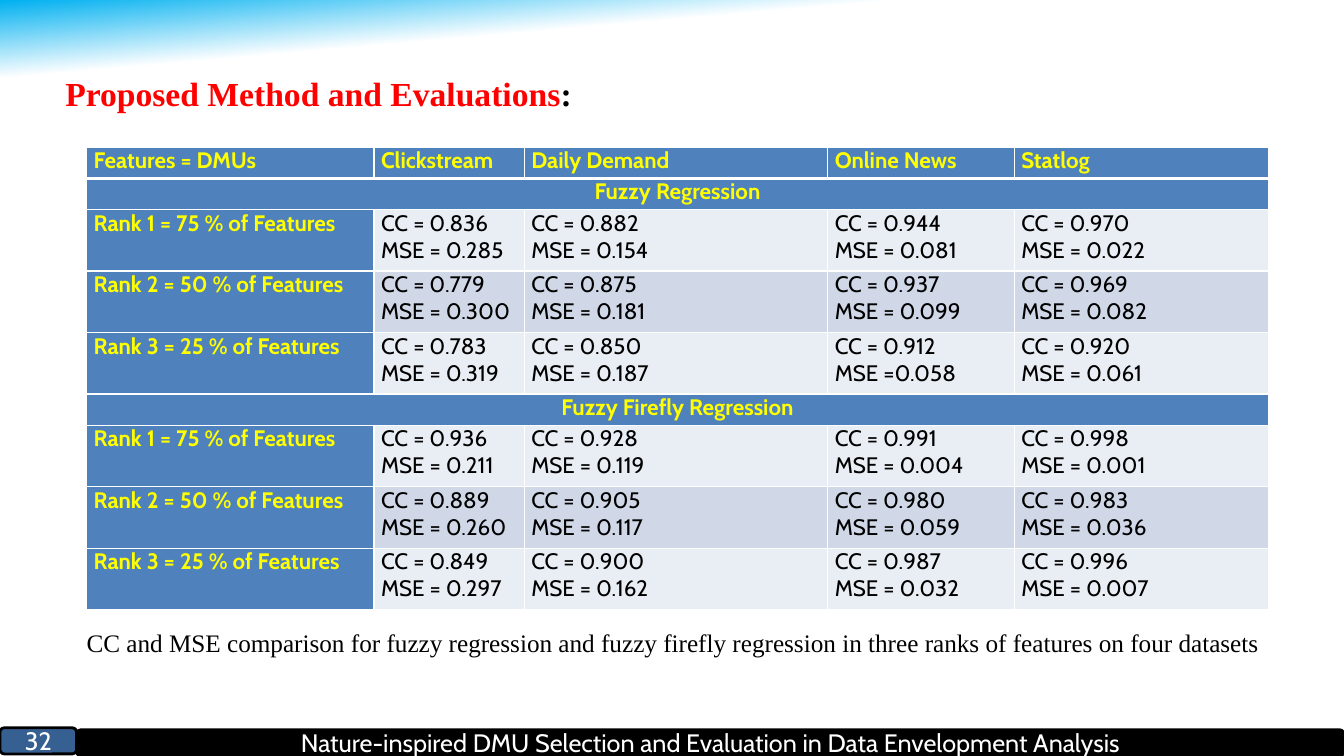
"""Build the slide comparing fuzzy regression with fuzzy firefly regression."""
from copy import deepcopy
from dataclasses import dataclass

from lxml import etree
from pptx import Presentation
from pptx import util as u
from pptx.dml.color import RGBColor
from pptx.enum import shapes, text
from pptx.oxml.ns import qn

COLORS = {
    "sky": "00B0F0", "white": "FFFFFF", "black": "000000", "red": "FF0000",
    "yellow": "FFFF00", "blue": "4F81BD", "navy": "376092",
    "light": "E9EDF4", "dark": "D0D8E8",
}
SERIF, SANS = "Times New Roman", "Cabin"
ALIGN = text.PP_ALIGN


@dataclass
class Run:
    words: str
    size: int
    font: str
    color: str
    bold: bool = False


@dataclass
class Box:
    left: float
    top: float
    width: float
    height: float

    def lengths(self) -> list[int]:
        return [u.Inches(v) for v in (self.left, self.top, self.width, self.height)]


@dataclass
class Rank:
    label: str
    scores: list[tuple[str, str]]


@dataclass
class Method:
    name: str
    ranks: list[Rank]


RANK_LABELS = [f"Rank {n} = {share} % of Features" for n, share in ((1, 75), (2, 50), (3, 25))]
DATASETS = ["Clickstream", "Daily Demand", "Online News", "Statlog"]
COLUMN_WIDTHS = [2.85, 1.49, 3.01, 1.85, 2.52]
BAND_HEIGHT, RANK_HEIGHT = 0.31, 0.61


def ranks(*score_rows: list[tuple[str, str]]) -> list[Rank]:
    return [Rank(label, scores) for label, scores in zip(RANK_LABELS, score_rows)]


METHODS = [
    Method("Fuzzy Regression", ranks(
        [("0.836", " 0.285"), ("0.882", " 0.154"), ("0.944", " 0.081"), ("0.970", " 0.022")],
        [("0.779", " 0.300"), ("0.875", " 0.181"), ("0.937", " 0.099"), ("0.969", " 0.082")],
        [("0.783", " 0.319"), ("0.850", " 0.187"), ("0.912", "0.058"), ("0.920", " 0.061")],
    )),
    Method("Fuzzy Firefly Regression", ranks(
        [("0.936", " 0.211"), ("0.928", " 0.119"), ("0.991", " 0.004"), ("0.998", " 0.001")],
        [("0.889", " 0.260"), ("0.905", " 0.117"), ("0.980", " 0.059"), ("0.983", " 0.036")],
        [("0.849", " 0.297"), ("0.900", " 0.162"), ("0.987", " 0.032"), ("0.996", " 0.007")],
    )),
]


def rgb(name: str) -> RGBColor:
    return RGBColor.from_string(COLORS[name])


def write(frame, paragraphs: list[list[Run]], align=None) -> None:
    for index, runs in enumerate(paragraphs):
        paragraph = frame.paragraphs[0] if index == 0 else frame.add_paragraph()
        paragraph.alignment = align
        for item in runs:
            run = paragraph.add_run()
            run.text = item.words
            run.font.size = u.Pt(item.size)
            run.font.name = item.font
            run.font.bold = item.bold
            run.font.color.rgb = rgb(item.color)


def add_line_of_text(slide, box: Box, runs: list[Run]) -> None:
    frame = slide.shapes.add_textbox(*box.lengths()).text_frame
    frame.word_wrap = True
    frame.auto_size = text.MSO_AUTO_SIZE.SHAPE_TO_FIT_TEXT
    write(frame, [runs])


def add_footer_bar(slide, box: Box, fill: str, words: str) -> None:
    bar = slide.shapes.add_shape(shapes.MSO_SHAPE.ROUNDED_RECTANGLE, *box.lengths())
    bar.shadow.inherit = False
    bar.fill.solid()
    bar.fill.fore_color.rgb = rgb(fill)
    bar.line.color.rgb = rgb("black")
    bar.line.width = u.Pt(2)
    bar.text_frame.vertical_anchor = text.MSO_ANCHOR.MIDDLE
    write(bar.text_frame, [[Run(words, 18, SANS, "white")]], ALIGN.CENTER)


def style_cell(cell, fill: str, bottom: int = 1) -> None:
    cell.margin_left = cell.margin_right = u.Inches(0.07)
    cell.margin_top = cell.margin_bottom = 0
    properties = cell._tc.get_or_add_tcPr()
    for side, width in (("L", 1), ("R", 1), ("T", 1), ("B", bottom)):
        border = etree.SubElement(properties, qn(f"a:ln{side}"), w=str(u.Pt(width)))
        solid = etree.SubElement(border, qn("a:solidFill"))
        etree.SubElement(solid, qn("a:srgbClr"), val=COLORS["white"])
    cell.fill.solid()
    cell.fill.fore_color.rgb = rgb(fill)


def write_heading(cell, words: str, align=ALIGN.JUSTIFY, bottom: int = 1) -> None:
    style_cell(cell, "blue", bottom)
    write(cell.text_frame, [[Run(words, 16, SANS, "yellow", True)]], align)


def write_scores(cell, scores: tuple[str, str], fill: str) -> None:
    style_cell(cell, fill)
    correlation, error = scores
    lines = [f"CC = {correlation}", f"MSE ={error}"]
    write(cell.text_frame, [[Run(line, 16, SANS, "black")] for line in lines], ALIGN.JUSTIFY)


def add_comparison(slide, box: Box) -> None:
    heights = [BAND_HEIGHT]
    for method in METHODS:
        heights += [BAND_HEIGHT] + [RANK_HEIGHT] * len(method.ranks)
    table = slide.shapes.add_table(len(heights), len(COLUMN_WIDTHS), *box.lengths()).table
    for column, width in zip(table.columns, COLUMN_WIDTHS):
        column.width = u.Inches(width)
    for row, height in zip(table.rows, heights):
        row.height = u.Inches(height)

    for col, heading in enumerate(["Features = DMUs", *DATASETS]):
        write_heading(table.cell(0, col), heading, bottom=3)
    row = 1
    for method in METHODS:
        table.cell(row, 0).merge(table.cell(row, len(DATASETS)))
        write_heading(table.cell(row, 0), method.name, ALIGN.CENTER)
        for index, rank in enumerate(method.ranks):
            row += 1
            write_heading(table.cell(row, 0), rank.label)
            for col, scores in enumerate(rank.scores, start=1):
                write_scores(table.cell(row, col), scores, ("light", "dark")[index % 2])
        row += 1


def paint_background(slide) -> None:
    fill = slide.background.fill
    fill.gradient()
    fill.gradient_angle = 360 - 85
    for stop, color, position in zip(fill.gradient_stops, ("sky", "white"), (0, 0.09)):
        stop.color.rgb = rgb(color)
        stop.position = position
    near_white = slide.element.findall(".//" + qn("a:gs"))[-1]
    far_white = deepcopy(near_white)
    far_white.set("pos", "100000")
    near_white.addnext(far_white)


def main() -> None:
    deck = Presentation()
    deck.slide_width, deck.slide_height = u.Inches(13.33), u.Inches(7.5)
    slide = deck.slides.add_slide(deck.slide_layouts[6])
    paint_background(slide)
    add_line_of_text(slide, Box(0.55, 0.67, 12.23, 0.5), [
        Run("Proposed Method and Evaluations", 24, SERIF, "red", True),
        Run(":", 24, SERIF, "black", True),
    ])
    add_footer_bar(slide, Box(0.76, 7.24, 12.57, 0.26), "black",
                   "Nature-inspired DMU Selection and Evaluation in Data Envelopment Analysis")
    add_footer_bar(slide, Box(0, 7.22, 0.76, 0.26), "navy", "32")
    add_comparison(slide, Box(0.86, 1.46, 11.72, 4.58))
    add_line_of_text(slide, Box(0.76, 6.17, 11.92, 0.4), [
        Run("CC and MSE comparison for fuzzy regression and fuzzy firefly regression "
            "in three ranks of features on four datasets", 18, SERIF, "black"),
    ])
    deck.save("out.pptx")


if __name__ == "__main__":
    main()
